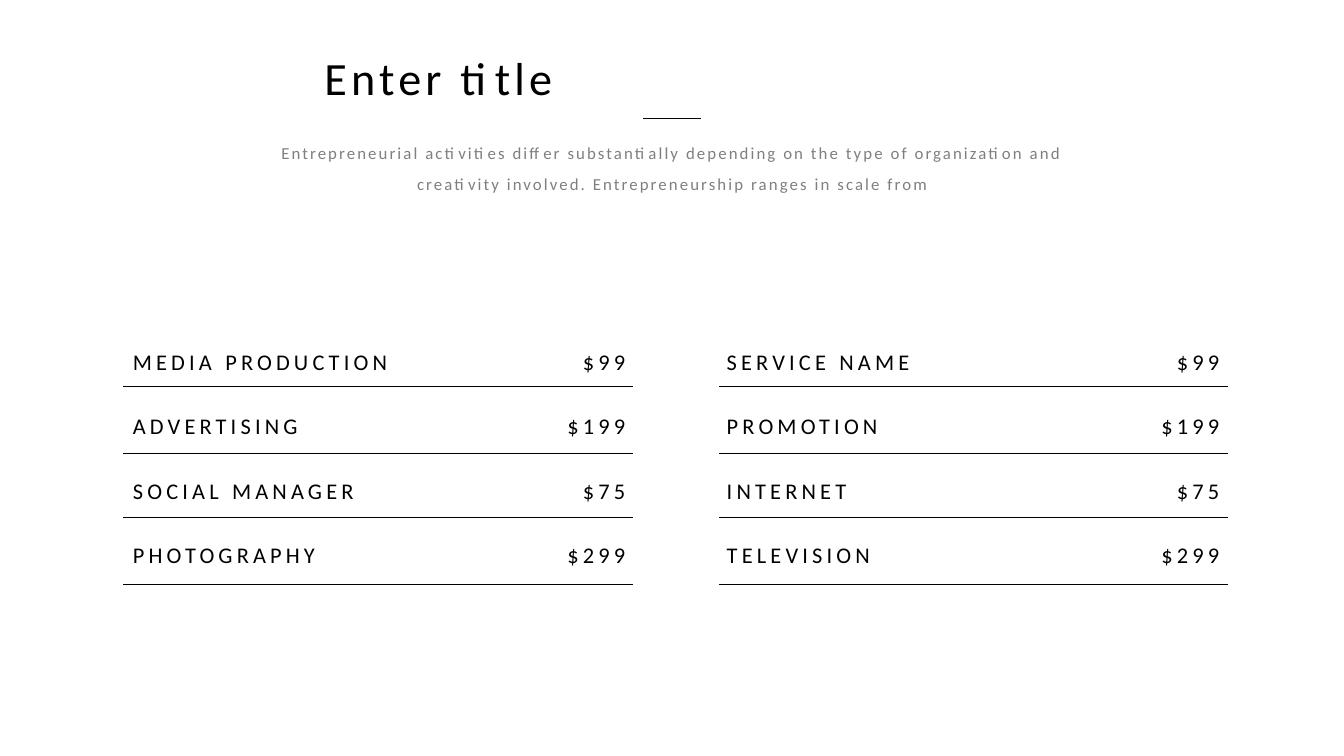
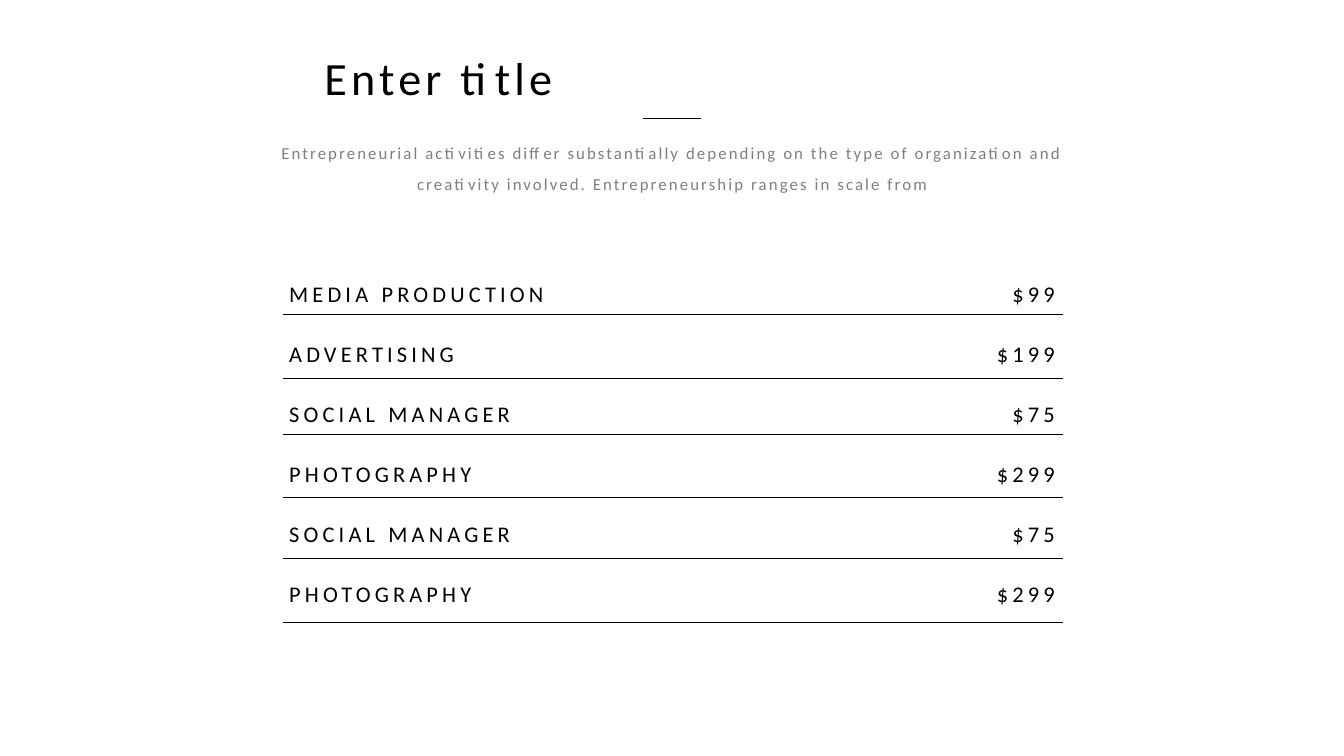
import pptx
import pptx.util
from lxml import etree
from pptx.dml.color import RGBColor
from pptx.enum.shapes import MSO_CONNECTOR
from pptx.enum.text import PP_ALIGN
from pptx.oxml.ns import qn

Inches, Pt = pptx.util.Inches, pptx.util.Pt

# Shared look
FONT = "Calibri"
BLACK = RGBColor(0x00, 0x00, 0x00)
GREY = RGBColor(0x7F, 0x7F, 0x7F)
WIDTH, HEIGHT = 13.33, 7.5
ROW_HEIGHT = 0.37

# Content
TITLE = "Enter title"
INTRO = ("Entrepreneurial activities differ substantially depending on the type of "
         "organization and creativity involved. Entrepreneurship ranges in scale from")
MEDIA = [("MEDIA PRODUCTION", "$99"), ("ADVERTISING", "$199"),
         ("SOCIAL MANAGER", "$75"), ("PHOTOGRAPHY", "$299")]
CHANNELS = [("SERVICE NAME", "$99"), ("PROMOTION", "$199"),
            ("INTERNET", "$75"), ("TELEVISION", "$299")]

# Each list: (items, left and right of the text, left and right of the rules)
SLIDES = [
    {"first_row": 3.4, "last_row": 5.32, "rules": [3.83, 4.5, 5.13, 5.8],
     "lists": [(MEDIA, (1.22, 6.3), (1.22, 6.28)),
               (CHANNELS, (7.11, 12.19), (7.13, 12.18))]},
    {"first_row": 2.73, "last_row": 5.71, "rules": [3.12, 3.75, 4.31, 4.93, 5.54, 6.17],
     "lists": [(MEDIA + MEDIA[2:], (2.77, 10.56), (2.81, 10.54))]},
]


def add_text(slide, text, left, top, width, height, size, spacing,
             color=BLACK, align=PP_ALIGN.LEFT, line_spacing=None):
    sp = slide.shapes.add_textbox(Inches(left), Inches(top), Inches(width), Inches(height))
    tf = sp.text_frame
    tf.word_wrap = True
    p = tf.paragraphs[0]
    p.alignment = align
    p.line_spacing = line_spacing
    r = p.add_run()
    r.text = text
    p.font.name, p.font.size = FONT, Pt(size)
    p.font.color.rgb = color
    # Letter spacing, in hundredths of a point
    r._r.get_or_add_rPr().set("spc", str(int(spacing * 100)))


def add_rule(slide, left, right, y):
    line = slide.shapes.add_connector(MSO_CONNECTOR.STRAIGHT, Inches(left), Inches(y),
                                      Inches(right), Inches(y))
    line.line.color.rgb = BLACK
    line.line.width = Pt(0.5)
    etree.SubElement(line._element.spPr, qn("a:effectLst"))


def add_header(slide):
    add_text(slide, INTRO, 2.54, 1.27, 8.26, 0.67, 12, 1.5, GREY, PP_ALIGN.CENTER, 1.5)
    add_text(slide, TITLE, 3.12, 0.44, 7.1, 0.73, 33, 3)
    add_rule(slide, 6.38, 6.95, 1.17)


def add_price_list(slide, layout, items, text_span, rule_span):
    left, right = text_span
    pitch = (layout["last_row"] - layout["first_row"]) / (len(items) - 1)
    name_width = (right - left) * 0.7
    for i, ((name, price), rule_y) in enumerate(zip(items, layout["rules"])):
        top = layout["first_row"] + i * pitch
        add_text(slide, name, left, top, name_width, ROW_HEIGHT, 16, 3)
        add_text(slide, price, left + name_width, top, right - left - name_width,
                 ROW_HEIGHT, 16, 3, align=PP_ALIGN.RIGHT)
        add_rule(slide, *rule_span, rule_y)


def main():
    prs = pptx.Presentation()
    prs.slide_width, prs.slide_height = Inches(WIDTH), Inches(HEIGHT)
    for layout in SLIDES:
        slide = prs.slides.add_slide(prs.slide_layouts[6])
        for items, text_span, rule_span in layout["lists"]:
            add_price_list(slide, layout, items, text_span, rule_span)
        add_header(slide)
    prs.save("out.pptx")


if __name__ == "__main__":
    main()
